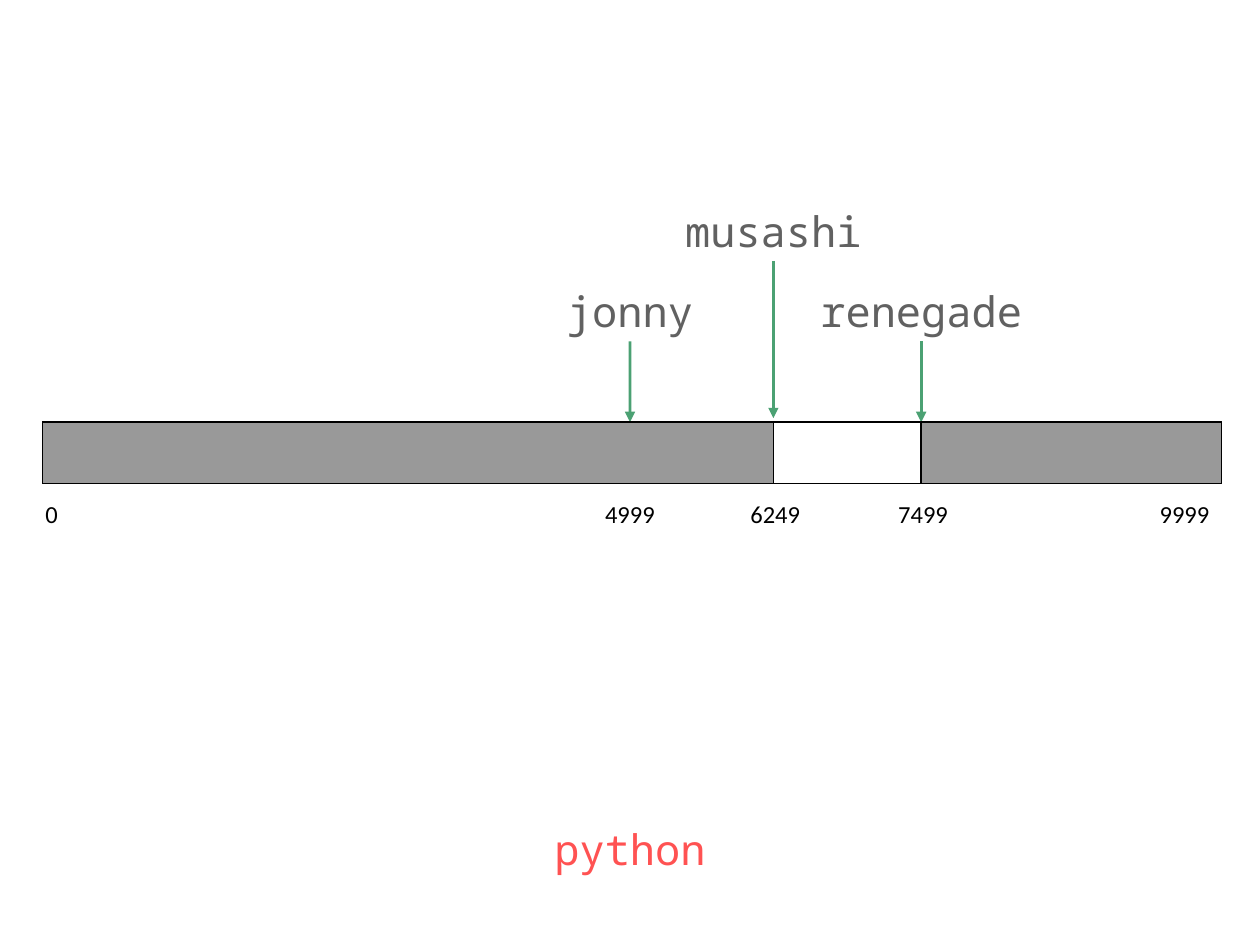
from dataclasses import dataclass

from lxml import etree
from pptx import Presentation
from pptx.dml.color import RGBColor
from pptx.enum.shapes import MSO_CONNECTOR, MSO_SHAPE
from pptx.enum.text import MSO_ANCHOR, PP_ALIGN
from pptx.oxml.ns import qn
from pptx.util import Cm, Pt

STRAIGHT = MSO_CONNECTOR.STRAIGHT
RECTANGLE = MSO_SHAPE.RECTANGLE
TOP, MIDDLE = MSO_ANCHOR.TOP, MSO_ANCHOR.MIDDLE
CENTER = PP_ALIGN.CENTER
BOTTOM_SITE = 2

TRACK_LEFT, TRACK_TOP, TRACK_WIDTH, TRACK_HEIGHT = 0.86, 8.51, 23.77, 1.24
TRACK_RIGHT = TRACK_LEFT + TRACK_WIDTH
SCALE_TOP = 9.73
LABEL_WIDTH, LABEL_HEIGHT = 5.21, 1.37
JONNY, MUSASHI, RENEGADE = 12.7, 15.59, 18.57

SCALE = [("0", 1.04, 1.27), ("4999", JONNY, 2.67), ("6249", 15.63, 2.67),
         ("7499", 18.61, 2.67), ("9999", 23.88, 2.13)]
MARKERS = [("jonny", JONNY, 5.51, TRACK_TOP),
           ("musashi", MUSASHI, 3.89, 8.43),
           ("renegade", RENEGADE, 5.51, TRACK_TOP)]
TAKEN = [(TRACK_LEFT, JONNY), (RENEGADE, TRACK_RIGHT), (TRACK_LEFT, MUSASHI)]


@dataclass(frozen=True)
class Theme:
    free: RGBColor = RGBColor(0xFF, 0xFF, 0xFF)
    taken: RGBColor = RGBColor(0x99, 0x99, 0x99)
    ink: RGBColor = RGBColor(0x00, 0x00, 0x00)
    label: RGBColor = RGBColor(0x61, 0x61, 0x61)
    arrow: RGBColor = RGBColor(0x4B, 0xA1, 0x73)
    accent: RGBColor = RGBColor(0xFF, 0x52, 0x52)
    mono: str = "Noto Sans Mono"
    sans: str = "Calibri"
    large: Pt = Pt(24)
    small: Pt = Pt(14)
    outline: Pt = Pt(0.75)
    stroke: Pt = Pt(1.5)
    inset: Cm = Cm(0.25)


def set_values(target, values):
    for name, value in values.items():
        setattr(target, name, value)


class Painter:
    """Draws the elements of a number line on one page."""

    def __init__(self, page, theme):
        self.page = page
        self.theme = theme

    def text(self, words, center, top, width, height, color, scale=False):
        theme = self.theme
        box = self.page.shapes.add_textbox(
            Cm(center - width / 2), Cm(top), Cm(width), Cm(height))
        frame = box.text_frame
        set_values(frame, {
            "word_wrap": True,
            "vertical_anchor": MIDDLE if scale else TOP,
            "margin_left": theme.inset, "margin_right": theme.inset,
            "margin_top": theme.inset, "margin_bottom": theme.inset})
        para = frame.paragraphs[0]
        para.alignment = CENTER
        span = para.add_run()
        span.text = words
        set_values(span.font, {
            "name": theme.sans if scale else theme.mono,
            "size": theme.small if scale else theme.large})
        span.font.color.rgb = color
        return box

    def segment(self, left, right, color):
        bar = self.page.shapes.add_shape(
            RECTANGLE, Cm(left), Cm(TRACK_TOP), Cm(right - left), Cm(TRACK_HEIGHT))
        bar.shadow.inherit = False
        bar.fill.solid()
        bar.fill.fore_color.rgb = color
        bar.line.color.rgb = self.theme.ink
        bar.line.width = self.theme.outline

    def arrow(self, label, center, bottom):
        line = self.page.shapes.add_connector(
            STRAIGHT, Cm(center), label.top + label.height, Cm(center), Cm(bottom))
        line.begin_connect(label, BOTTOM_SITE)
        line.line.color.rgb = self.theme.arrow
        line.line.width = self.theme.stroke
        properties = line._element.spPr
        etree.SubElement(properties.find(qn("a:ln")), qn("a:tailEnd"), type="triangle")
        etree.SubElement(properties, qn("a:effectLst"))

    def marker(self, name, center, top, bottom):
        label = self.text(name, center, top, LABEL_WIDTH, LABEL_HEIGHT, self.theme.label)
        self.arrow(label, center, bottom)


def main():
    theme = Theme()
    deck = Presentation()
    set_values(deck, {"slide_width": Cm(25.4), "slide_height": Cm(19.05)})
    painter = Painter(deck.slides.add_slide(deck.slide_layouts[6]), theme)

    painter.text("python", JONNY, 16.36, 14.5, 1.7, theme.accent)
    painter.segment(TRACK_LEFT, TRACK_RIGHT, theme.free)
    for number, center, width in SCALE:
        painter.text(number, center, SCALE_TOP, width, TRACK_HEIGHT, theme.ink, scale=True)
    for marker in MARKERS:
        painter.marker(*marker)
    for left, right in TAKEN:
        painter.segment(left, right, theme.taken)

    deck.save("out.pptx")


if __name__ == "__main__":
    main()
